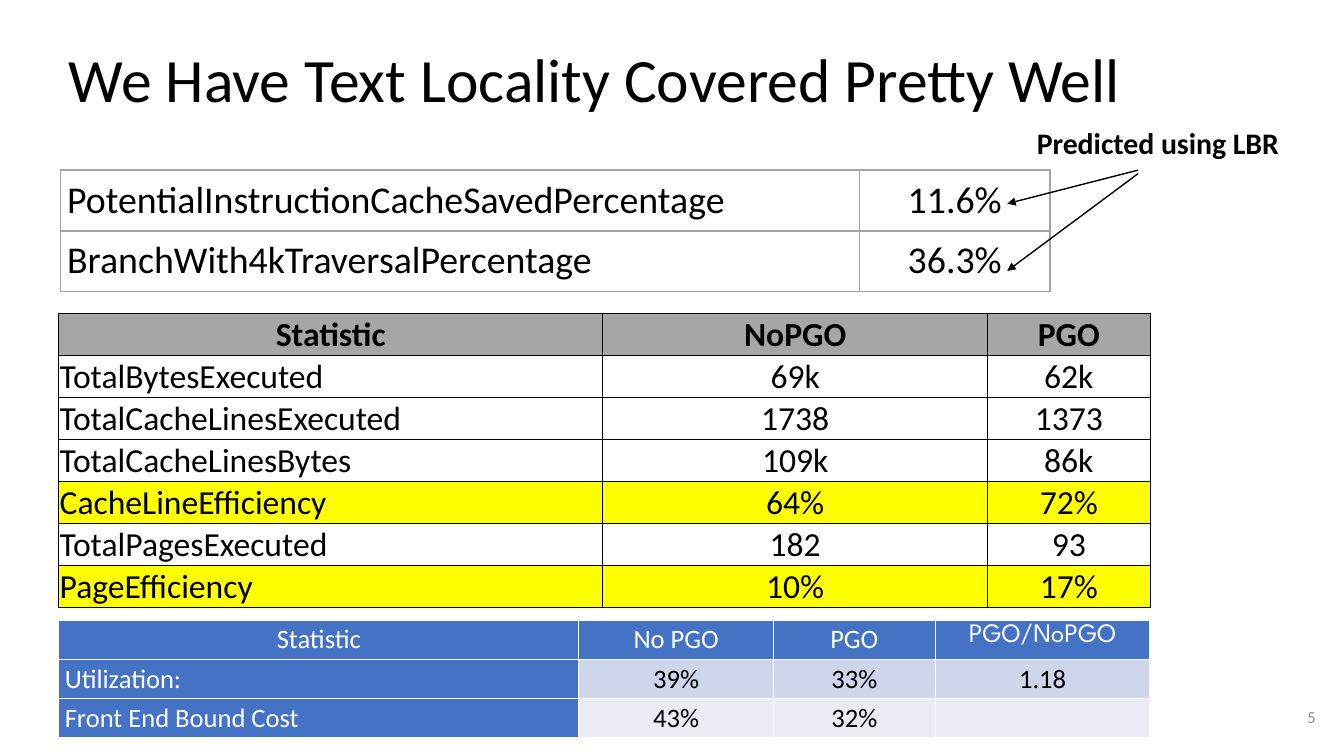
"""Build the slide on text locality with its three tables."""
import pptx
import pptx.util
import pptx.dml.color
import pptx.enum.text
import pptx.enum.shapes
import pptx.oxml
import pptx.oxml.ns

Pt = pptx.util.Pt
Align = pptx.enum.text.PP_ALIGN
Anchor = pptx.enum.text.MSO_ANCHOR
qn = pptx.oxml.ns.qn
NS = pptx.oxml.ns.nsdecls("a")
HUES = {
    "black": "000000", "white": "FFFFFF", "gray": "A6A6A6", "rule": "A3A3A3",
    "note": "8C8C8C", "yellow": "FFFF00", "blue": "4472C4",
    "band": "CFD5EA", "pale": "E9EBF5",
}


def write(frame, text, size, hue="black", align=Align.LEFT, bold=False, face="Calibri"):
    para = frame.paragraphs[0]
    para.alignment = align
    run = para.add_run()
    run.text = text
    look = {"size": Pt(size), "bold": bold, "name": face}
    for key, value in look.items():
        setattr(run.font, key, value)
    run.font.color.rgb = pptx.dml.color.RGBColor.from_string(HUES[hue])


def grid(spec):
    rows, wide, high = spec["rows"], spec["wide"], spec["high"]
    left, top = spec["at"]
    table = slide.shapes.add_table(
        len(rows), len(wide), Pt(left), Pt(top), Pt(sum(wide)), Pt(high * len(rows))).table
    table.first_row = table.horz_banding = False
    for col, width in zip(table.columns, wide):
        col.width = Pt(width)
    for i, row in enumerate(rows):
        table.rows[i].height = Pt(high)
        for j, text in enumerate(row):
            cell = table.cell(i, j)
            cell.vertical_anchor = spec["anchor"]
            for side, gap in zip(("left", "top", "right", "bottom"), spec["pad"]):
                setattr(cell, "margin_" + side, Pt(gap))
            props = cell._tc.get_or_add_tcPr()
            edge, weight = spec["edge"]
            for side in "LRTB":
                props.append(pptx.oxml.parse_xml(
                    f'<a:ln{side} {NS} w="{Pt(weight)}"><a:solidFill>'
                    f'<a:srgbClr val="{HUES[edge]}"/></a:solidFill></a:ln{side}>'))
            fill, hue = spec["paint"](i, j)
            if fill:
                cell.fill.solid()
                cell.fill.fore_color.rgb = pptx.dml.color.RGBColor.from_string(HUES[fill])
            else:
                cell.fill.background()
            head = spec["head"] and i == 0
            align = Align.CENTER if j or head else Align.LEFT
            face = "League Spartan" if text == "PGO/NoPGO" else "Calibri"
            if text:
                write(cell.text_frame, text, spec["size"], hue, align,
                      head and spec["bold"], face)


deck = pptx.Presentation()
deck.slide_width, deck.slide_height = Pt(960), Pt(540)
slide = deck.slides.add_slide(deck.slide_layouts[6])

labels = [
    ((723, 497.5, 224, 29), "5", 12, "note", Align.RIGHT, False, Anchor.MIDDLE),
    ((42, 10, 864, 91.5), "We Have Text Locality Covered Pretty Well", 44,
     "black", Align.LEFT, False, Anchor.MIDDLE),
    ((733.5, 85.7, 200, 33), "Predicted using LBR", 21.3,
     "black", Align.LEFT, True, Anchor.TOP),
]
for place, text, size, hue, align, bold, anchor in labels:
    box = slide.shapes.add_textbox(*map(Pt, place))
    box.text_frame.word_wrap = True
    box.text_frame.vertical_anchor = anchor
    write(box.text_frame, text, size, hue, align, bold)

tables = [
    {"at": (42, 224), "wide": (388.5, 275, 116), "high": 30, "size": 24,
     "pad": (0.6, 0.6, 0.6, 0), "anchor": Anchor.BOTTOM, "edge": ("black", 0.5),
     "head": True, "bold": True,
     "paint": lambda i, j: ({0: "gray", 4: "yellow", 6: "yellow"}.get(i), "black"),
     "rows": [("Statistic", "NoPGO", "PGO"),
              ("TotalBytesExecuted", "69k", "62k"),
              ("TotalCacheLinesExecuted", "1738", "1373"),
              ("TotalCacheLinesBytes", "109k", "86k"),
              ("CacheLineEfficiency", "64%", "72%"),
              ("TotalPagesExecuted", "182", "93"),
              ("PageEfficiency", "10%", "17%")]},
    {"at": (43, 121.5), "wide": (571, 136), "high": 43.5, "size": 27,
     "pad": (5, 5, 5, 5), "anchor": Anchor.TOP, "edge": ("rule", 1),
     "head": False, "bold": False,
     "paint": lambda i, j: (None, "black"),
     "rows": [("PotentialInstructionCacheSavedPercentage", "11.6%"),
              ("BranchWith4kTraversalPercentage", "36.3%")]},
    {"at": (42, 443), "wide": (371.5, 139, 115.5, 153.5), "high": 28, "size": 19,
     "pad": (4.3, 2.5, 4.3, 2.5), "anchor": Anchor.TOP, "edge": ("white", 1),
     "head": True, "bold": False,
     "paint": lambda i, j: (("band", "pale")[i - 1], "black") if i and j
     else ("blue", "white"),
     "rows": [("Statistic", "No PGO", "PGO", "PGO/NoPGO"),
              ("Utilization:", "39%", "33%", "1.18"),
              ("Front End Bound Cost", "43%", "32%", "")]},
]
for spec in tables:
    grid(spec)

for start, end in ((121.5, 145.5), (124, 193.5)):
    arrow = slide.shapes.add_connector(
        pptx.enum.shapes.MSO_CONNECTOR.STRAIGHT, Pt(813), Pt(start), Pt(719.5), Pt(end))
    arrow.line.width = Pt(1)
    arrow.line.color.rgb = pptx.dml.color.RGBColor.from_string(HUES["black"])
    props = arrow._element.spPr
    props.find(qn("a:ln")).append(pptx.oxml.parse_xml(f'<a:tailEnd {NS} type="triangle"/>'))
    props.append(pptx.oxml.parse_xml(f"<a:effectLst {NS}/>"))

deck.save("out.pptx")
